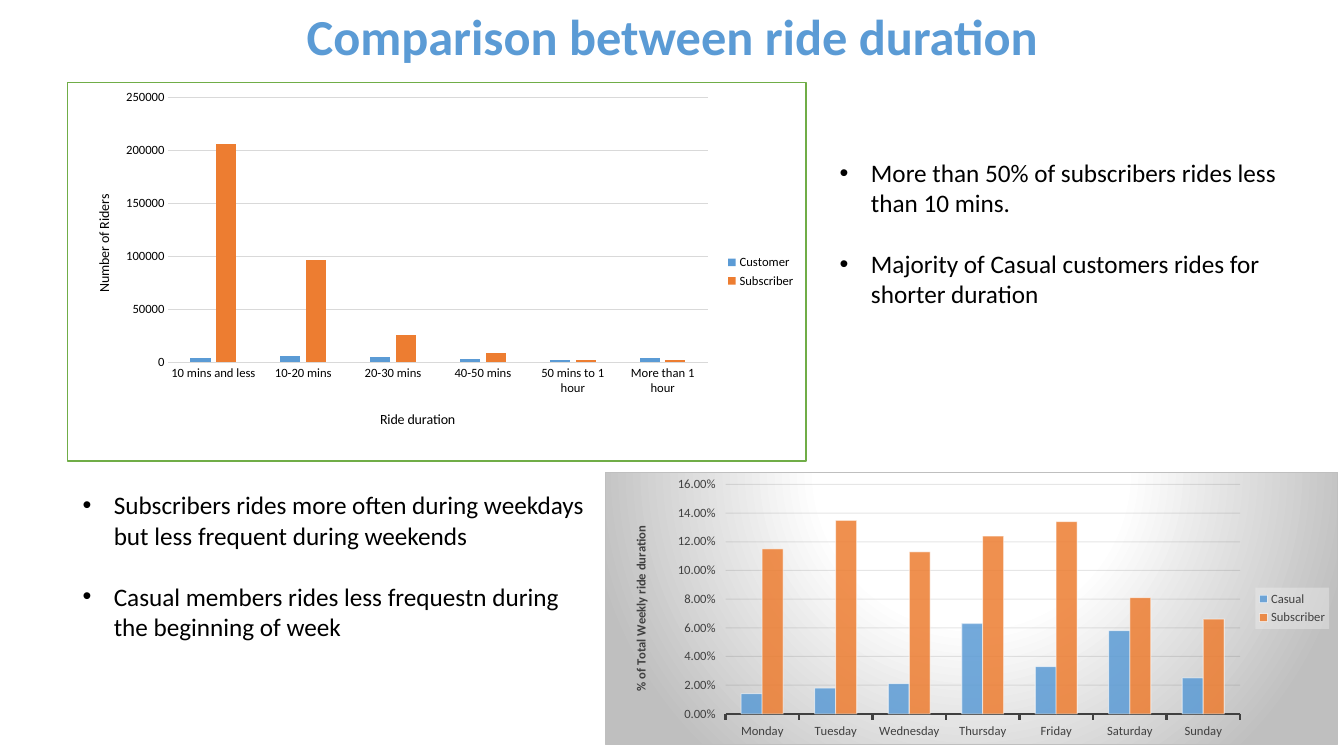
from lxml import etree
from pptx import Presentation
from pptx.chart.data import CategoryChartData
from pptx.dml.color import RGBColor
from pptx.enum.chart import XL_CHART_TYPE, XL_LEGEND_POSITION, XL_TICK_MARK
from pptx.enum.text import MSO_ANCHOR, PP_ALIGN
from pptx.oxml import parse_xml
from pptx.oxml.ns import nsdecls, qn
from pptx.util import Inches, Pt

COLUMN = XL_CHART_TYPE.COLUMN_CLUSTERED
RIGHT = XL_LEGEND_POSITION.RIGHT
TICK_OUT, TICK_NONE = XL_TICK_MARK.OUTSIDE, XL_TICK_MARK.NONE
CENTER, MIDDLE = PP_ALIGN.CENTER, MSO_ANCHOR.MIDDLE
FONT = "Calibri"
COLORS = {"blue": "5B9BD5", "orange": "ED7D31", "green": "70AD47", "black": "000000",
          "white": "FFFFFF", "dark": "404040", "grid": "D9D9D9", "ink": "0D0D0D",
          "silver": "BFBFBF", "pale": "F2F2F2"}


def rgb(name):
    return RGBColor.from_string(COLORS[name])


def style_font(font, size, color, bold=False):
    font.name = FONT
    font.size = Pt(size)
    font.bold = bold
    font.color.rgb = rgb(color)


def style_line(line, color, width, alpha=None):
    line.color.rgb = rgb(color)
    line.width = Pt(width)
    if alpha:
        set_alpha(line._get_or_add_ln(), alpha)


def set_alpha(element, percent):
    clr = element.find(".//" + qn("a:srgbClr"))
    etree.SubElement(clr, qn("a:alpha")).set("val", str(percent * 1000))


def solid(color, alpha=100):
    return (f'<a:solidFill><a:srgbClr val="{COLORS[color]}">'
            f'<a:alpha val="{alpha * 1000}"/></a:srgbClr></a:solidFill>')


def radial(stops):
    gs = "".join(f'<a:gs pos="{pos * 1000}"><a:srgbClr val="{COLORS[color]}"/></a:gs>'
                 for pos, color in stops)
    return (f'<a:gradFill><a:gsLst>{gs}</a:gsLst><a:path path="circle">'
            '<a:fillToRect l="50000" t="-80000" r="50000" b="180000"/></a:path></a:gradFill>')


def area_format(fill, border=""):
    return parse_xml(f'<c:spPr {nsdecls("c", "a")}>{fill}{border}</c:spPr>')


def outline(color, width):
    return f'<a:ln w="{Pt(width)}">{solid(color)}</a:ln>'


def place(parent, x, y, w=None, h=None):
    size = f'<c:w val="{w}"/><c:h val="{h}"/>' if w else ""
    target = '<c:layoutTarget val="inner"/>' if w else ""
    layout = parse_xml(
        f'<c:layout {nsdecls("c")}><c:manualLayout>{target}<c:xMode val="edge"/>'
        f'<c:yMode val="edge"/><c:x val="{x}"/><c:y val="{y}"/>{size}'
        '</c:manualLayout></c:layout>')
    for old in parent.findall(qn("c:layout")):
        parent.remove(old)
    parent.insert(1 if parent.find(qn("c:tx")) is not None else 0, layout)


def title_axis(axis, text, size, color, bold, spot):
    tf = axis.axis_title.text_frame
    tf.text = text
    style_font(tf.paragraphs[0].runs[0].font, size, color, bold)
    place(axis.axis_title._element, *spot)


def column_chart(slide, box, categories, series, number_format, text_color, tick,
                 gap, overlap, scale, plot_box):
    data = CategoryChartData(number_format=number_format)
    data.categories = categories
    for name, values in series:
        data.add_series(name, values)
    chart = slide.shapes.add_chart(COLUMN, *map(Inches, box), data).chart
    style_font(chart.font, 10, "black")
    chart.has_title = False
    chart.has_legend = True
    chart.legend.position = RIGHT
    chart.legend.include_in_layout = False
    style_font(chart.legend.font, 9, text_color)

    plot = chart.plots[0]
    plot.gap_width, plot.overlap = gap, overlap
    plot.vary_by_categories = False
    for ser, color in zip(plot.series, ("blue", "orange")):
        ser.format.fill.solid()
        ser.format.fill.fore_color.rgb = rgb(color)
    place(chart._chartSpace.chart.plotArea, *plot_box)

    for axis in (chart.category_axis, chart.value_axis):
        axis.major_tick_mark = tick
        axis.minor_tick_mark = TICK_NONE
        style_font(axis.tick_labels.font, 9, text_color)
    values = chart.value_axis
    values.minimum_scale = 0
    values.maximum_scale, values.major_unit = scale
    values.tick_labels.number_format = number_format
    values.tick_labels.number_format_is_linked = False
    values.format.line.fill.background()
    values.has_major_gridlines = True
    return chart


def duration_chart(slide, box):
    chart = column_chart(
        slide, box,
        ["10 mins and less", "10-20 mins", "20-30 mins", "40-50 mins",
         "50 mins to 1 hour", "More than 1 hour"],
        [("Customer", (4000, 6000, 5000, 3000, 2000, 4000)),
         ("Subscriber", (206000, 97000, 26000, 9000, 2000, 2000))],
        "General", "black", TICK_NONE, 219, -27, (250000, 50000), (0.137, 0.04, 0.73, 0.7))
    title_axis(chart.category_axis, "Ride duration", 10, "black", False, (0.42, 0.86))
    title_axis(chart.value_axis, "Number of Riders", 10, "black", False, (0.034, 0.29))
    style_line(chart.category_axis.format.line, "grid", 0.75)
    style_line(chart.value_axis.major_gridlines.format.line, "grid", 0.75)
    chart._chartSpace.chart.addnext(area_format(solid("white"), outline("green", 1)))


def weekday_chart(slide, box):
    chart = column_chart(
        slide, box,
        ["Monday", "Tuesday", "Wednesday", "Thursday", "Friday", "Saturday", "Sunday"],
        [("Casual", (0.014, 0.018, 0.021, 0.063, 0.033, 0.058, 0.025)),
         ("Subscriber", (0.115, 0.135, 0.113, 0.124, 0.134, 0.081, 0.066))],
        "0.00%", "dark", TICK_OUT, 150, 0, (0.16, 0.02), (0.164, 0.045, 0.703, 0.843))
    title_axis(chart.value_axis, "% of Total Weekly ride duration", 9, "dark", True,
               (0.034, 0.19))
    style_line(chart.category_axis.format.line, "dark", 1.5)
    style_line(chart.value_axis.major_gridlines.format.line, "ink", 0.75, 10)
    for ser in chart.plots[0].series:
        set_alpha(ser.format.fill._xPr, 85)
        style_line(ser.format.line, "white", 0.75, 50)
    legend = chart.legend._element
    legend.find(qn("c:txPr")).addprevious(area_format(solid("pale", 39)))
    gradient = radial([(0, "white"), (39, "white"), (100, "silver")])
    chart._chartSpace.chart.addnext(area_format(gradient, outline("silver", 0.75)))


def bullet_list(slide, box, items):
    tf = slide.shapes.add_textbox(*map(Inches, box)).text_frame
    tf.word_wrap = True
    for i, item in enumerate(items):
        p = tf.paragraphs[0] if i == 0 else tf.add_paragraph()
        p.text = item
        p.space_before = Pt(22 if i else 0)
        style_font(p.runs[0].font, 18, "black")
        pPr = p._p.get_or_add_pPr()
        pPr.set("marL", str(Inches(0.31)))
        pPr.set("indent", str(Inches(-0.31)))
        etree.SubElement(pPr, qn("a:buFont")).set("typeface", "Arial")
        etree.SubElement(pPr, qn("a:buChar")).set("char", "•")


def slide_title(slide, box, text):
    sp = slide.shapes.title
    sp.left, sp.top, sp.width, sp.height = map(Inches, box)
    tf = sp.text_frame
    tf.text = text
    tf.word_wrap = False
    tf.vertical_anchor = MIDDLE
    p = tf.paragraphs[0]
    p.alignment = CENTER
    style_font(p.runs[0].font, 36, "blue", True)


def ride_duration_slide(prs):
    slide = prs.slides.add_slide(prs.slide_layouts[5])
    weekday_chart(slide, (6, 4.68, 7.27, 2.71))
    duration_chart(slide, (0.66, 0.81, 7.34, 3.77))
    bullet_list(slide, (8.23, 1.51, 4.89, 1.92),
                ["More than 50% of subscribers rides less than 10 mins.",
                 "Majority of Casual customers rides for shorter duration"])
    bullet_list(slide, (0.72, 4.81, 5.19, 1.92),
                ["Subscribers rides more often during weekdays but less frequent during weekends",
                 "Casual members rides less frequestn during the beginning of week"])
    slide_title(slide, (2.94, 0, 7.46, 0.71), "Comparison between ride duration")


prs = Presentation()
prs.slide_width, prs.slide_height = Inches(13.33), Inches(7.5)
ride_duration_slide(prs)
prs.save("out.pptx")
